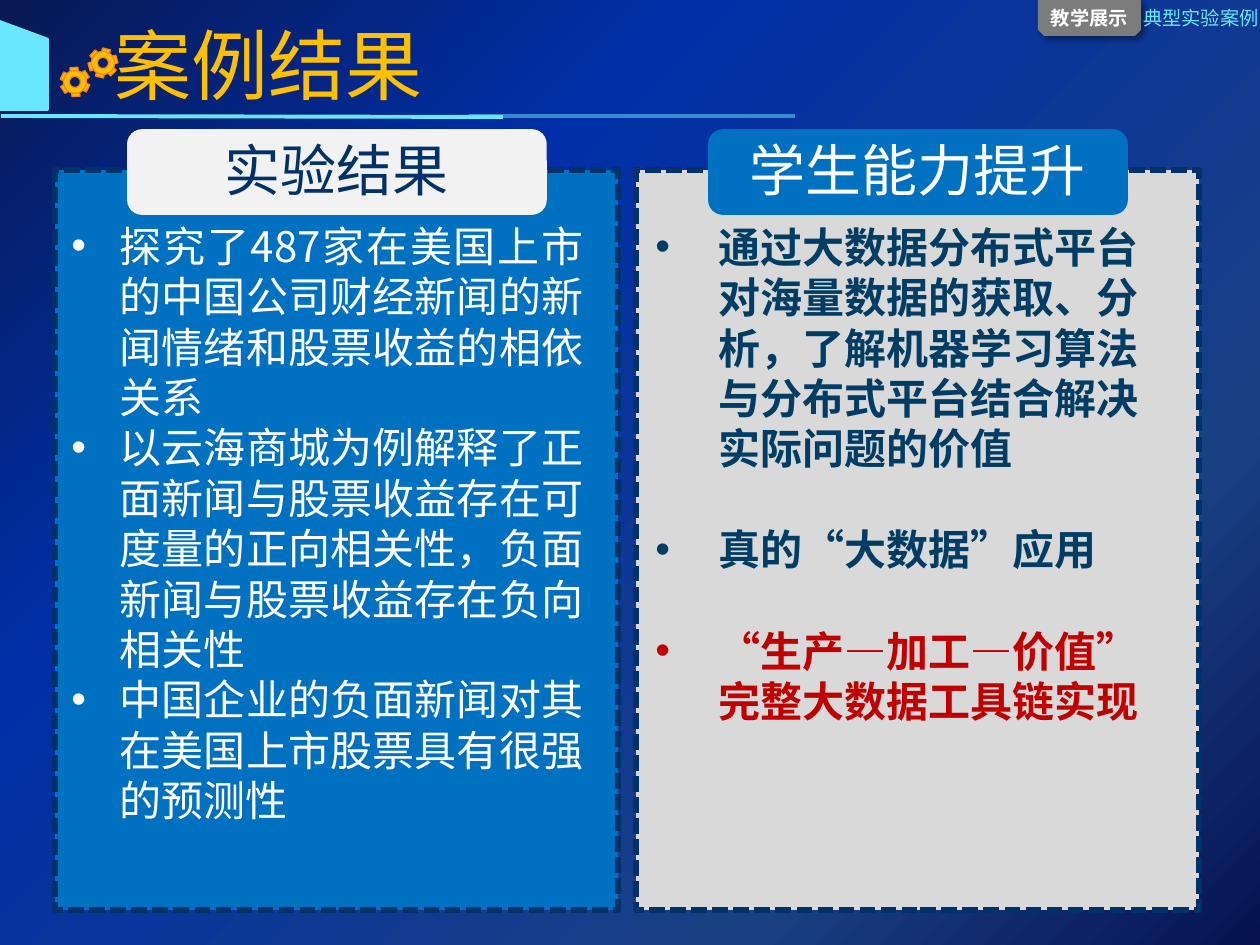
from math import cos, radians, sin

from lxml.etree import SubElement
from pptx import Presentation
from pptx.dml.color import RGBColor
from pptx.enum.dml import MSO_LINE_DASH_STYLE as Dash
from pptx.enum.shapes import MSO_CONNECTOR_TYPE as Connector, MSO_SHAPE as Shape
from pptx.enum.text import MSO_ANCHOR as Anchor, MSO_AUTO_SIZE as AutoSize, PP_ALIGN as Align
from pptx.oxml.ns import qn
from pptx.util import Emu, Pt

NAVY, BLUE, CYAN, GOLD, WHITE = "003269", "0070C0", "6AE7FF", "FFC000", "FFFFFF"
RESULTS = [
    "探究了487家在美国上市的中国公司财经新闻的新闻情绪和股票收益的相依关系",
    "以云海商城为例解释了正面新闻与股票收益存在可度量的正向相关性，负面新闻与股票收益存在负向相关性",
    "中国企业的负面新闻对其在美国上市股票具有很强的预测性",
]
SKILLS = [
    ("通过大数据分布式平台对海量数据的获取、分析，了解机器学习算法与分布式平台结合解决实际问题的价值", "003D64"),
    ("真的“大数据”应用", "003D64"),
    ("“生产—加工—价值” 完整大数据工具链实现", "C00000"),
]


def px(length):
    """Turn pixels into EMU."""
    return Emu(round(length * 914400 / 126))


def rgb(value):
    """Turn a hex string into a colour."""
    return RGBColor.from_string(value)


def write(para, text, size=24, color=WHITE, bold=False, font="Noto Sans CJK SC",
          align=Align.LEFT, bullet=None, before=None):
    """Write one formatted span into a paragraph; bullet is its left margin and hang."""
    para.alignment = align
    if before:
        para.space_before = Pt(before)
    if bullet:
        margin, hang = bullet
        props = para._p.get_or_add_pPr()
        props.set("marL", str(px(margin)))
        props.set("indent", str(-px(hang)))
        SubElement(props, qn("a:buFont"), typeface="Arial")
        SubElement(props, qn("a:buChar"), char="•")
    span = para.add_run()
    span.text = text
    span.font.size, span.font.bold, span.font.name = Pt(size), bold, font
    span.font.color.rgb = rgb(color)
    SubElement(span._r.get_or_add_rPr(), qn("a:ea"), typeface=font)


class Painter:
    """Hold the style and the current slide."""

    def __init__(self, page):
        """Start painting on a page."""
        self.page = page
        self.shapes = page.shapes

    def background(self, stops):
        """Fill the page with a diagonal gradient."""
        fill = self.page.background.fill
        fill.gradient()
        fill.gradient_angle = 315
        stop_list = self.page.element.find(".//" + qn("a:gsLst"))
        stop_list.clear()
        for position, color in stops:
            stop = SubElement(stop_list, qn("a:gs"), pos=str(position * 1000))
            SubElement(stop, qn("a:srgbClr"), val=color)

    def paint(self, shape, fill, line=None, width=1.0, dash=None):
        """Set the fill and outline of a shape."""
        shape.shadow.inherit = False
        shape.fill.solid()
        shape.fill.fore_color.rgb = rgb(fill)
        if line:
            shape.line.color.rgb = rgb(line)
            shape.line.width = Pt(width)
            if dash:
                shape.line.dash_style = dash
        else:
            shape.line.fill.background()
        return shape

    def block(self, kind, area, fill, flip=None, **outline):
        """Add a preset shape, flipped if asked."""
        shape = self.shapes.add_shape(kind, *map(px, area))
        if flip:
            shape._element.spPr.find(qn("a:xfrm")).set(flip, "1")
        return self.paint(shape, fill, **outline)

    def shadow(self, shape):
        """Give a shape a soft shadow to the lower right."""
        effects = shape._element.spPr.find(qn("a:effectLst"))
        outer = SubElement(effects, qn("a:outerShdw"), blurRad=str(Pt(4)), dist=str(Pt(3)),
                           dir="2700000", algn="tl", rotWithShape="0")
        color = SubElement(outer, qn("a:srgbClr"), val="000000")
        SubElement(color, qn("a:alpha"), val="40000")

    def rule(self, start, end, alpha=100):
        """Add a cyan line."""
        line = self.shapes.add_connector(Connector.STRAIGHT, *map(px, start + end))
        line.line.color.rgb = rgb(CYAN)
        line.line.width = Pt(2.25)
        props = line._element.spPr
        if alpha < 100:
            SubElement(props.find(".//" + qn("a:srgbClr")), qn("a:alpha"), val=str(alpha * 1000))
        SubElement(props, qn("a:effectLst"))

    def title(self, area, text, **form):
        """Place and write the title."""
        box = self.shapes.title
        box.left, box.top, box.width, box.height = map(px, area)
        frame = box.text_frame
        frame.auto_size, frame.vertical_anchor = AutoSize.NONE, Anchor.TOP
        write(frame.paragraphs[0], text, **form)

    def text(self, area, items, gap=0, wrap=True, **form):
        """Add a text box with one paragraph per text and colour."""
        frame = self.shapes.add_textbox(*map(px, area)).text_frame
        frame.word_wrap = wrap
        for index, (text, color) in enumerate(items):
            para = frame.add_paragraph() if index else frame.paragraphs[0]
            write(para, text, color=color, before=gap if index else None, **form)

    def outline(self, *loops):
        """Add a golden freeform made of closed loops of points."""
        loops = [[(px(x), px(y)) for x, y in loop] for loop in loops]
        builder = self.shapes.build_freeform(*loops[0][0])
        for index, loop in enumerate(loops):
            if index:
                builder.move_to(*loop[0])
            builder.add_line_segments(loop[1:], close=True)
        self.paint(builder.convert_to_shape(), GOLD, line="F8841D", width=0.75)

    def gear(self, x, y, phase):
        """Add six teeth around a ring."""
        def circle(radius, step):
            return [(x + radius * cos(radians(a)), y + radius * sin(radians(a)))
                    for a in range(0, step * (360 // abs(step)), step)]

        for angle in range(phase, phase + 360, 60):
            ux, uy = cos(radians(angle)), sin(radians(angle))
            corners = [(9.5, -4), (14.5, -4), (14.5, 4), (9.5, 4)]
            self.outline([(x + r * ux - s * uy, y + r * uy + s * ux) for r, s in corners])
        self.outline(circle(11.5, 15), circle(5.5, -15))

    def panel(self, left, fill, heading, heading_fill, heading_color):
        """Add a dashed panel with a rounded heading on its top edge."""
        self.block(Shape.RECTANGLE, (left, 170, 563, 740), fill,
                   line=NAVY, width=3, dash=Dash.SQUARE_DOT)
        self.block(Shape.ROUNDED_RECTANGLE, (left + 73, 130, 418, 84), heading_fill,
                   line=heading_fill)
        self.text((left + 73, 129, 418, 64), [(heading, heading_color)],
                  size=32, align=Align.CENTER)


def main():
    """Build the slide and save the deck."""
    deck = Presentation()
    deck.slide_width, deck.slide_height = px(1260), px(945)
    painter = Painter(deck.slides.add_slide(deck.slide_layouts[5]))
    painter.background([(0, "081954"), (31, "002FA7"), (76, "1A4084"), (100, "061252")])
    painter.rule((1, 116), (503, 117))
    painter.rule((469, 116), (795, 116), alpha=50)
    painter.block(Shape.FLOWCHART_MANUAL_INPUT, (0, 21, 48, 89), CYAN, flip="flipH", line=CYAN)
    tab = painter.block(Shape.SNIP_2_SAME_RECTANGLE, (1038, 0, 103, 36), "7C7C7C", flip="flipV")
    painter.shadow(tab)
    painter.text((1038, 0, 103, 36), [("教学展示", WHITE)], wrap=False,
                 size=11, bold=True, align=Align.CENTER)
    painter.text((1130, 0, 142, 59), [("典型实验案例", CYAN)], size=11, align=Align.CENTER)
    painter.title((102, 11, 675, 106), "案例结果", size=44, color=GOLD, font="Noto Sans CJK JP")
    painter.gear(103, 63, -76)
    painter.gear(75, 82, -94)
    painter.panel(636, "D9D9D9", "学生能力提升", BLUE, WHITE)
    painter.text((580, 215, 612, 522), SKILLS, gap=29, bold=True, bullet=(126, 63))
    painter.panel(55, BLUE, "实验结果", "F2F2F2", NAVY)
    painter.text((59, 214, 537, 674), [(result, WHITE) for result in RESULTS],
                 align=Align.JUSTIFY, bullet=(48, 48))
    deck.save("out.pptx")


if __name__ == "__main__":
    main()
